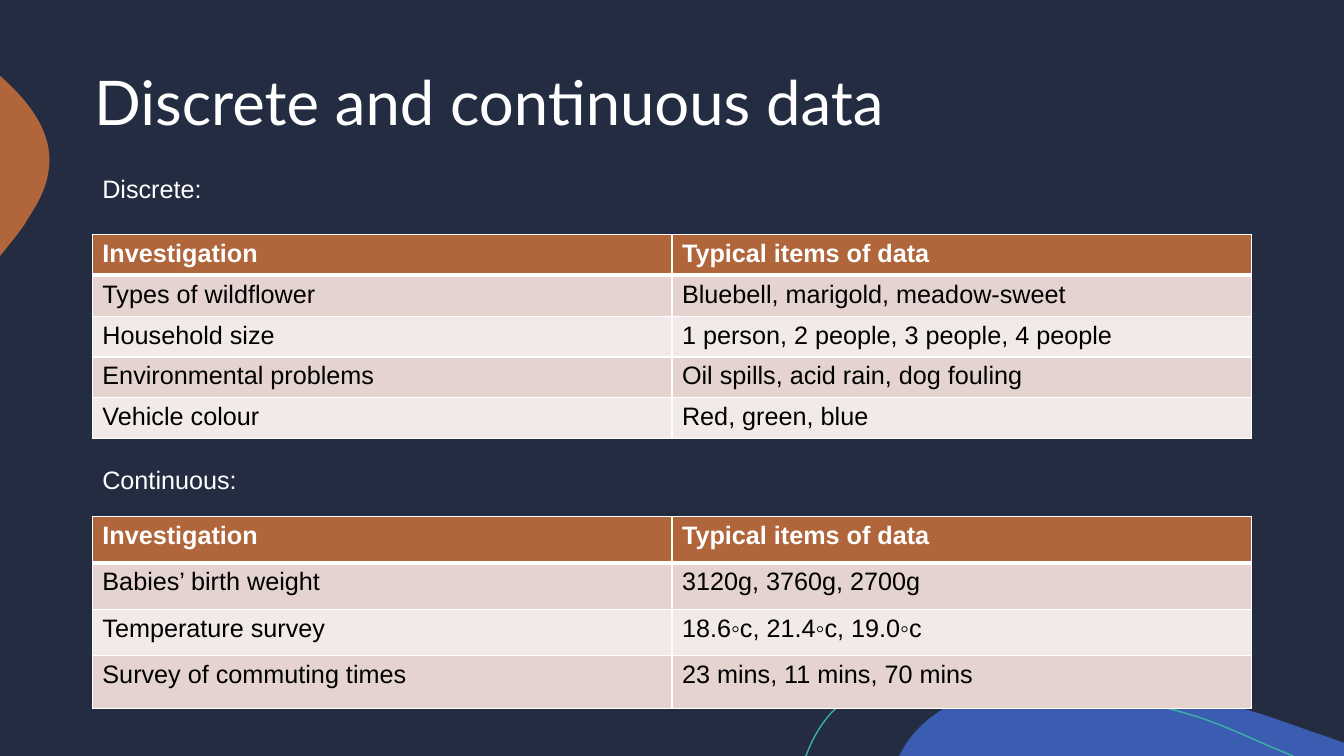
from lxml.etree import SubElement
from pptx import Presentation
from pptx.dml.color import RGBColor
from pptx.enum.text import MSO_ANCHOR, MSO_AUTO_SIZE, PP_ALIGN
from pptx.oxml import parse_xml
from pptx.oxml.ns import nsdecls, qn
from pptx.util import Pt

WHITE, BLACK, NAVY, RUST = "FFFFFF", "000000", "242C41", "B1653B"
BANDS = ["E4D3CE", "F2EAE8"]


def rgb(value):
    return RGBColor.from_string(value)


def style(p, size, name, color, bold=False):
    p.font.size, p.font.name, p.font.bold = Pt(size), name, bold
    p.font.color.rgb = rgb(color)


prs = Presentation()
prs.slide_width, prs.slide_height = Pt(960), Pt(540)
s = prs.slides.add_slide(prs.slide_layouts[5])
s.background.fill.solid()
s.background.fill.fore_color.rgb = rgb(NAVY)

# Corner decorations: fill, line, then points (x, y) or Bezier curves (x1, y1, x2, y2, x, y)
decorations = [
    ("3B5DB1", None, [
        (758.9, 491.8), (812.2, 491.8, 866.9, 496.8, 916.6, 515.5),
        (925.9, 518.4, 934.6, 522, 943.9, 524.9), (960, 530.6), (960, 540),
        (642.2, 540), (646.6, 532.1), (649.4, 527.8, 652.3, 524.2, 655.9, 520.6),
        (676.1, 499, 707, 492.5, 736.6, 491.8), (743.8, 491.8, 751, 491.8, 758.9, 491.8)]),
    (RUST, None, [
        (0, 54), (0.7, 54.7), (19.4, 71.5, 35.3, 91.2, 35.3, 114.2),
        (35.3, 116.9, 35.1, 119.6, 34.6, 122.4), (33.1, 134.6, 26.6, 146.2, 19.4, 157),
        (17.3, 161.3, 12.2, 167.8, 5.8, 175.7), (0, 182.9)]),
    (None, "3BB1A3", [
        (575.3, 540), (576, 539.3), (580.3, 527.8, 586.1, 517.7, 593.3, 509.8),
        (612, 490.3, 640.1, 484.6, 666.7, 483.8), (687.6, 483.8),
        (735.8, 483.8, 792, 496.1, 831.6, 505.4), (870.5, 514.8, 882.7, 523.4, 923.8, 540)]),
]
for fill, line, segments in decorations:
    points = [(Pt(seg[i]), Pt(seg[i + 1])) for seg in segments for i in range(0, len(seg), 2)]
    builder = s.shapes.build_freeform(*points[0])
    builder.add_line_segments(points[1:], close=fill is not None)
    sp = builder.convert_to_shape()
    # Merge each three line steps of a curve into one Bezier segment
    steps = iter(list(sp._element.iter(qn("a:lnTo"))))
    for segment in segments[1:]:
        step = next(steps)
        if len(segment) == 6:
            curve = parse_xml(f'<a:cubicBezTo {nsdecls("a")}/>')
            step.addprevious(curve)
            for old in (step, next(steps), next(steps)):
                curve.append(old[0])
                old.getparent().remove(old)
    sp.shadow.inherit = False
    if fill:
        sp.fill.solid()
        sp.fill.fore_color.rgb = rgb(fill)
        sp.line.fill.background()
    else:
        sp.fill.background()
        sp.line.color.rgb = rgb(line)
        sp.line.width = Pt(1)

# Title
title = s.shapes.title
title.left, title.top, title.width, title.height = Pt(60), Pt(15.3), Pt(840), Pt(120)
tf = title.text_frame
tf.text = "Discrete and continuous data"
tf.vertical_anchor = MSO_ANCHOR.MIDDLE
p = tf.paragraphs[0]
p.alignment = PP_ALIGN.LEFT
p.line_spacing = 0.9
style(p, 44, "Lato", WHITE)

# Labelled tables: label, label top, table top, row heights, rows
HEADER = ("Investigation", "Typical items of data")
sections = [
    ("Discrete:", 120.2, 167.4, [29.2] * 5, [
        HEADER,
        ("Types of wildflower", "Bluebell, marigold, meadow-sweet"),
        ("Household size", "1 person, 2 people, 3 people, 4 people"),
        ("Environmental problems", "Oil spills, acid rain, dog fouling"),
        ("Vehicle colour", "Red, green, blue")]),
    ("Continuous:", 327.9, 368.9, [33.2] * 3 + [37.8], [
        HEADER,
        ("Babies’ birth weight", "3120g, 3760g, 2700g"),
        ("Temperature survey", "18.6◦c, 21.4◦c, 19.0◦c"),
        ("Survey of commuting times", "23 mins, 11 mins, 70 mins")]),
]
for label, label_top, table_top, heights, rows in sections:
    table = s.shapes.add_table(len(rows), 2, Pt(66), Pt(table_top),
                               Pt(828), Pt(sum(heights))).table
    for r, row in enumerate(rows):
        table.rows[r].height = Pt(heights[r])
        for c, text in enumerate(row):
            cell = table.cell(r, c)
            cell.text = text
            style(cell.text_frame.paragraphs[0], 18, "Arial",
                  BLACK if r else WHITE, bold=r == 0)
            cell.fill.solid()
            cell.fill.fore_color.rgb = rgb(BANDS[(r - 1) % 2] if r else RUST)
            # White borders, heavier between header and body
            tcPr = cell._tc.get_or_add_tcPr()
            for i, side in enumerate("LRTB"):
                heavy = (r, side) in [(0, "B"), (1, "T")]
                ln = parse_xml(f'<a:ln{side} {nsdecls("a")} w="{Pt(3 if heavy else 1)}"/>')
                solid = SubElement(ln, qn("a:solidFill"))
                SubElement(solid, qn("a:srgbClr"), val=WHITE)
                tcPr.insert(i, ln)

    tf = s.shapes.add_textbox(Pt(66), Pt(label_top), Pt(179.3), Pt(30)).text_frame
    tf.word_wrap = True
    tf.auto_size = MSO_AUTO_SIZE.SHAPE_TO_FIT_TEXT
    tf.text = label
    style(tf.paragraphs[0], 18, "Arial", WHITE)

prs.save("out.pptx")
